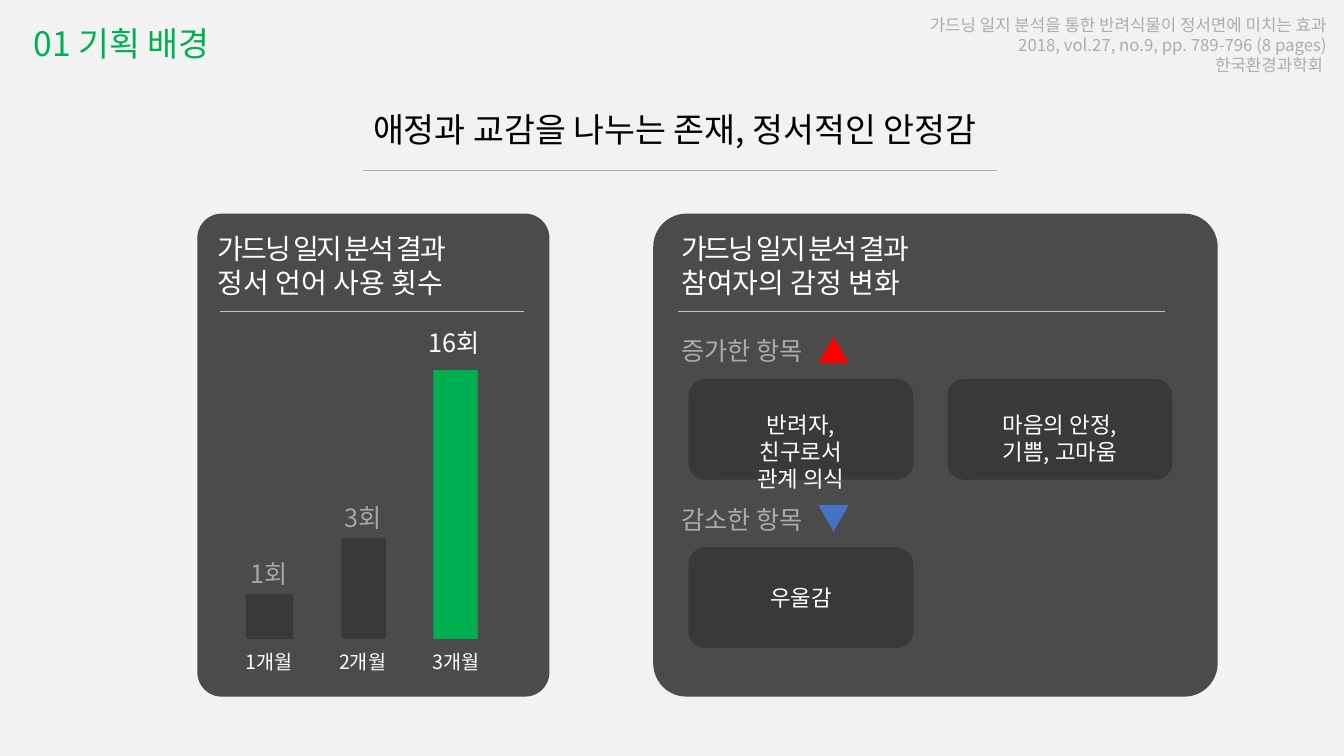
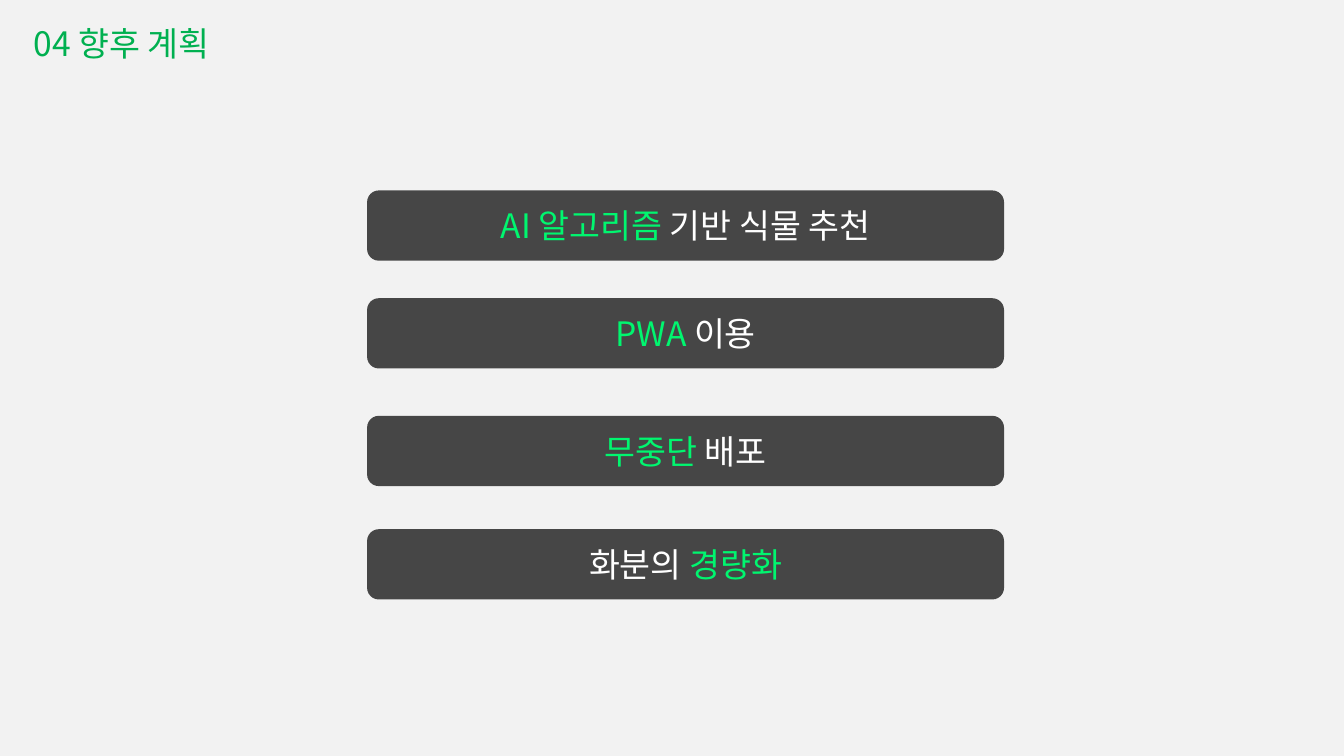
import pptx
import pptx.dml.color
import pptx.enum.shapes
import pptx.enum.text
import pptx.oxml.ns
import pptx.util
from lxml import etree

Pt = pptx.util.Pt
Shape = pptx.enum.shapes.MSO_SHAPE
Align = pptx.enum.text.PP_ALIGN
Anchor = pptx.enum.text.MSO_ANCHOR
qn = pptx.oxml.ns.qn

FONT = "Noto Sans CJK KR"
COLORS = {
    "page": "F2F2F2", "title": "00B050", "accent": "00F66F", "black": "000000",
    "white": "FFFFFF", "card": "4B4B4B", "bar": "464646", "chip": "3B3838",
    "muted": "AFABAB", "value": "A6A6A6", "rule": "BFBFBF",
    "up": "FF0000", "down": "4472C4",
}


def rgb(name):
    return pptx.dml.color.RGBColor.from_string(COLORS[name])


class Slides:
    """The shared style and the slide being built."""

    def __init__(self):
        self.deck = pptx.Presentation()
        self.deck.slide_width, self.deck.slide_height = Pt(960), Pt(540)
        background = self.deck.slide_master.background.fill
        background.solid()
        background.fore_color.rgb = rgb("page")
        self.page = None

    def new_page(self, title):
        self.page = self.deck.slides.add_slide(self.deck.slide_layouts[5])
        box = self.page.shapes.title
        box.left, box.top, box.width, box.height = Pt(0), Pt(13), Pt(174), Pt(36)
        self.set_lines(box, [title], 24, "title", Align.CENTER)

    def style(self, span, size, color):
        span.font.size = Pt(size)
        span.font.name = FONT
        span.font.color.rgb = rgb(color)
        etree.SubElement(span.font._element, qn("a:ea")).set("typeface", FONT)

    def set_lines(self, box, lines, size, color, align=Align.LEFT, anchor=Anchor.TOP):
        frame = box.text_frame
        frame.word_wrap = True
        frame.auto_size = pptx.enum.text.MSO_AUTO_SIZE.NONE
        frame.vertical_anchor = anchor
        frame.text = "\n".join(lines)
        for para in frame.paragraphs:
            para.alignment = align
            for span in para.runs:
                self.style(span, size, color)
        return frame

    def text(self, left, top, width, height, lines, size, color, align=Align.LEFT):
        box = self.page.shapes.add_textbox(Pt(left), Pt(top), Pt(width), Pt(height))
        return self.set_lines(box, lines, size, color, align)

    def shape(self, kind, left, top, width, height, color, radius=None):
        shape = self.page.shapes.add_shape(
            kind, Pt(left), Pt(top), Pt(width), Pt(height))
        shape.shadow.inherit = False
        shape.fill.solid()
        shape.fill.fore_color.rgb = rgb(color)
        shape.line.fill.background()
        if radius is not None:
            shape.adjustments[0] = radius
        return shape

    def rule(self, left, right, y, color, width):
        line = self.page.shapes.add_connector(
            pptx.enum.shapes.MSO_CONNECTOR.STRAIGHT, Pt(left), Pt(y), Pt(right), Pt(y))
        line.line.color.rgb = rgb(color)
        line.line.width = Pt(width)
        etree.SubElement(line._element.spPr, qn("a:effectLst"))

    def card(self, left, width, text_left, rule_left, rule_right, heading):
        self.shape(Shape.ROUNDED_RECTANGLE, left, 152.6, width, 345, "card", 0.069)
        frame = self.text(text_left, 162, width - 12, 56, heading, 20, "white")
        frame.paragraphs[0].runs[0].font._element.set("spc", "-150")
        self.rule(rule_left, rule_right, 222.3, "rule", 0.5)

    def chip(self, left, top, lines):
        chip = self.shape(Shape.ROUNDED_RECTANGLE, left, top, 160.6, 72, "chip")
        anchor = Anchor.TOP if len(lines) > 1 else Anchor.MIDDLE
        frame = self.set_lines(chip, lines, 16, "white", Align.CENTER, anchor)
        frame.margin_left = frame.margin_right = Pt(21.6)
        if anchor == Anchor.TOP:
            frame.margin_top, frame.margin_bottom = Pt(19.4), Pt(0)

    def changes(self, top, label, color, rotation, chips):
        self.text(479.5, top, 170, 29, [label], 18, "muted")
        arrow = self.shape(Shape.ISOSCELES_TRIANGLE, 584.6, top + 4.4, 21.6, 18.7, color)
        arrow.rotation = rotation
        for column, lines in enumerate(chips):
            self.chip(491.8 + 185 * column, top + 34.5, lines)

    def plan(self, top, spans):
        bar = self.shape(Shape.ROUNDED_RECTANGLE, 262.2, top, 455, 50.2, "bar")
        frame = self.set_lines(bar, [], 24, "white", Align.CENTER, Anchor.MIDDLE)
        for words, color in spans:
            span = frame.paragraphs[0].add_run()
            span.text = words
            self.style(span, 24, color)


def build_background(slides):
    slides.new_page("01 기획 배경")

    # Citation and headline
    slides.text(585, 7, 370, 51, [
        "가드닝 일지 분석을 통한 반려식물이 정서면에 미치는 효과",
        "2018, vol.27, no.9, pp. 789-796 (8 pages)",
        "한국환경과학회 "], 12, "muted", Align.RIGHT)
    slides.text(202.3, 74, 559.4, 36, ["애정과 교감을 나누는 존재, 정서적인 안정감"],
                24, "black", Align.CENTER)
    slides.rule(259, 712, 121.7, "muted", 0.75)

    # Emotional words per month; the bars are illustrative, not to scale
    slides.card(141, 251.5, 148.5, 157, 374.4,
                ["가드닝 일지 분석 결과", "정서 언어 사용 횟수"])
    baseline = 456.3
    months = [
        # bar left, width, height, value left, value rise, value, colours
        (175.7, 33.8, 32, 172, 29, "1회", "chip", "value"),
        (244, 31.7, 72, 239, 29, "3회", "chip", "value"),
        (309.6, 31.7, 192, 298.8, 34, "16회", "title", "white"),
    ]
    for index, month in enumerate(months):
        left, width, height, value_left, rise, value, fill, ink = month
        top = baseline - height
        slides.shape(Shape.RECTANGLE, left, top, width, height, fill)
        slides.text(value_left, top - rise, 69, 29, [value], 18, ink)
        slides.text(168.5 + 66.6 * index, 460.8, 68, 24.5,
                    [f"{index + 1}개월"], 14, "white")

    # Changes in the participants' emotions
    slides.card(466.6, 403.2, 479.5, 484.6, 832.3,
                ["가드닝 일지 분석 결과", "참여자의 감정 변화"])
    slides.changes(236.2, "증가한 항목", "up", 0, [
        ["반려자, 친구로서", "관계 의식"], ["마음의 안정,", "기쁨, 고마움"]])
    slides.changes(356.5, "감소한 항목", "down", 180, [["우울감"]])


def build_plans(slides):
    slides.new_page("04 향후 계획")
    plans = [
        (136, [("AI 알고리즘 ", "accent"), ("기반 식물 추천", "white")]),
        (213, [("PWA ", "accent"), ("이용", "white")]),
        (297, [("무중단", "accent"), (" 배포", "white")]),
        (378, [("화분의 ", "white"), ("경량화", "accent")]),
    ]
    for top, spans in plans:
        slides.plan(top, spans)


def main():
    slides = Slides()
    build_background(slides)
    build_plans(slides)
    slides.deck.save("out.pptx")


if __name__ == "__main__":
    main()
